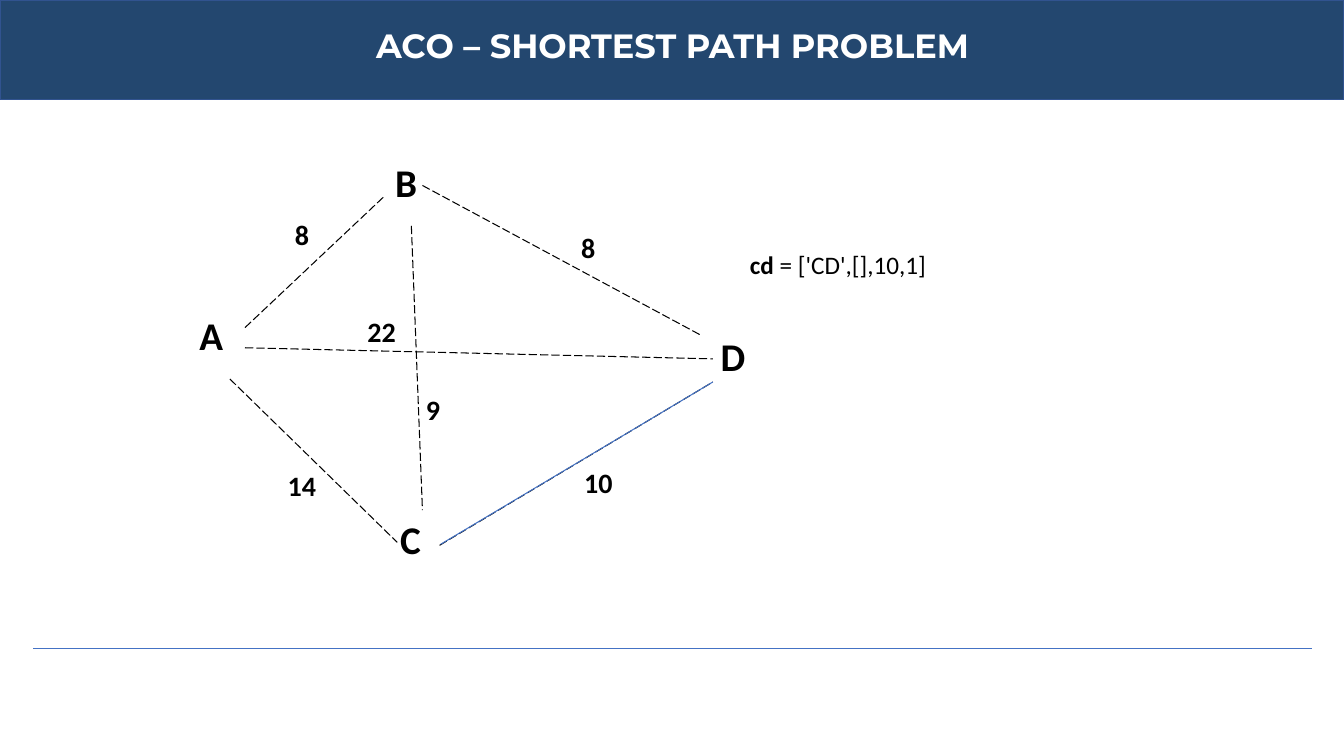
import pptx
import pptx.dml.color
import pptx.enum.dml
import pptx.enum.shapes
import pptx.enum.text
import pptx.oxml.ns
import pptx.util
from lxml import etree

Inches = pptx.util.Inches
ALIGN = pptx.enum.text.PP_ALIGN

TITLE = "ACO – SHORTEST PATH PROBLEM"
# name: (left, top, width)
NODES = {
    "A": (1.88, 3.04, 0.69),
    "D": (7.05, 3.25, 0.71),
    "C": (3.87, 5.06, 0.64),
    "B": (3.82, 1.52, 0.66),
}
# cost, label position, line start, line end
EDGES = [
    ("8", (5.58, 2.24), (4.19, 1.84), (6.96, 3.33)),
    ("8", (2.74, 2.11), (2.43, 3.25), (3.82, 1.94)),
    ("10", (5.68, 4.57), (4.36, 5.41), (7.07, 3.79)),
    ("14", (2.74, 4.6), (2.28, 3.76), (3.94, 5.38)),
    ("9", (4.04, 3.84), (4.08, 2.24), (4.19, 5.06)),
    ("22", (3.53, 3.07), (2.43, 3.45), (7.07, 3.56)),
]
CHOSEN_EDGE = ((7.07, 3.79), (4.37, 5.4))
FOOTER_RULE = ((0.33, 6.43), (13.01, 6.43))
CODE = [("cd", True), (" = ['CD',[],10,1]", False)]

THEME = {
    "banner": "23476F", "banner_line": "31538F", "accent": "4472C4",
    "ink": "000000", "white": "FFFFFF",
    "title_font": "Montserrat", "body_font": "Calibri",
    "title": 24, "node": 28, "cost": 20, "code": 18,
}


def rgb(name):
    return pptx.dml.color.RGBColor.from_string(THEME[name])


def write(sp, runs, size, align=ALIGN.LEFT, font="body_font", color="ink"):
    """Fill a shape with one paragraph of (text, bold) runs."""
    tf = sp.text_frame
    tf.word_wrap = True
    tf.auto_size = pptx.enum.text.MSO_AUTO_SIZE.NONE
    tf.vertical_anchor = pptx.enum.text.MSO_ANCHOR.TOP
    p = tf.paragraphs[0]
    p.alignment = align
    for text, bold in runs:
        r = p.add_run()
        r.text = text
        style = {"name": THEME[font], "size": pptx.util.Pt(THEME[size]), "bold": bold}
        for key, value in style.items():
            setattr(r.font, key, value)
        r.font.color.rgb = rgb(color)


def add_text(s, box, *args, **kwargs):
    write(s.shapes.add_textbox(*map(Inches, box)), *args, **kwargs)


def add_line(s, start, end, color, dash=None):
    line = s.shapes.add_connector(
        pptx.enum.shapes.MSO_CONNECTOR.STRAIGHT, *map(Inches, start + end))
    line.line.color.rgb = rgb(color)
    line.line.width = pptx.util.Pt(0.75)
    if dash:
        line.line.dash_style = dash
    etree.SubElement(line.element.spPr, pptx.oxml.ns.qn("a:effectLst"))


def add_header(s, width):
    banner = s.shapes.add_shape(
        pptx.enum.shapes.MSO_SHAPE.RECTANGLE, 0, 0, width, Inches(0.99))
    banner.shadow.inherit = False
    banner.fill.solid()
    banner.fill.fore_color.rgb = rgb("banner")
    banner.line.color.rgb = rgb("banner_line")
    banner.line.width = pptx.util.Pt(1)
    title = s.shapes.title
    title.element.addprevious(banner.element)
    place = {"left": 2.53, "top": 0.2, "width": 8.28, "height": 0.5}
    for key, value in place.items():
        setattr(title, key, Inches(value))
    write(title, [(TITLE, True)], "title", ALIGN.CENTER, "title_font", "white")


def main():
    prs = pptx.Presentation()
    prs.slide_width, prs.slide_height = Inches(13.33), Inches(7.5)
    s = prs.slides.add_slide(prs.slide_layouts.get_by_name("Title Only"))

    add_header(s, prs.slide_width)
    add_line(s, *FOOTER_RULE, "accent")
    for name, (left, top, width) in NODES.items():
        add_text(s, (left, top, width, 0.84), [(name, True)], "node")
    for cost, label, start, end in EDGES:
        add_line(s, start, end, "ink", pptx.enum.dml.MSO_LINE.LONG_DASH)
        add_text(s, label + (0.51, 0.44), [(cost, True)], "cost", ALIGN.CENTER)
    add_line(s, *CHOSEN_EDGE, "accent")
    add_text(s, (7.34, 2.42, 2.94, 0.4), CODE, "code")

    prs.save("out.pptx")


if __name__ == "__main__":
    main()
